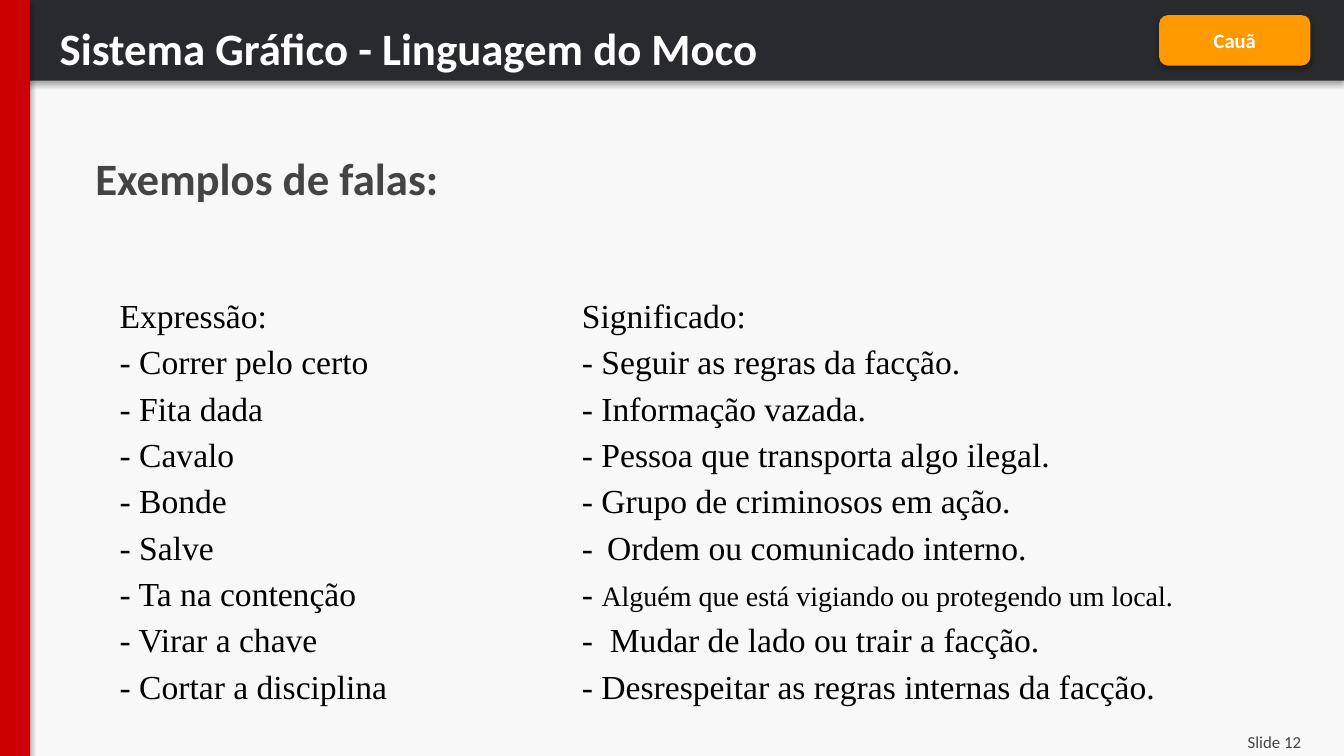
from dataclasses import dataclass

from lxml import etree
from pptx import Presentation
from pptx import util as u
from pptx.dml.color import RGBColor
from pptx.enum import shapes, text
from pptx.oxml import ns

COLORS = {"page": "F8F8F8", "bar": "292A2D", "accent": "CC0000", "tag": "FF9900",
          "light": "FFFFFF", "muted": "444444", "body": "000000"}
WIDTH, HEIGHT = 720, 405
TIGHT = (5, 3, 5, 3)
ROOMY = (7.2, 7.2, 7.2, 7.2)


@dataclass(frozen=True)
class Area:
    left: float
    top: float
    width: float
    height: float

    def lengths(self) -> list:
        return [u.Pt(n) for n in (self.left, self.top, self.width, self.height)]


@dataclass(frozen=True)
class Style:
    name: str
    size: float
    color: str
    bold: bool = False
    align: text.PP_ALIGN = text.PP_ALIGN.LEFT


@dataclass(frozen=True)
class Span:
    words: str
    size: float


def rgb(key: str) -> RGBColor:
    return RGBColor.from_string(COLORS[key])


def add_span(para, words: str, style: Style, size: float) -> None:
    span = para.add_run()
    span.text = words
    font_format = {"name": style.name, "size": u.Pt(size), "bold": style.bold}
    for key, value in font_format.items():
        setattr(span.font, key, value)
    span.font.color.rgb = rgb(style.color)


def write(shape, lines: list, style: Style, insets: tuple,
          anchor=text.MSO_ANCHOR.TOP, spacing=None) -> None:
    """Write lines as one paragraph; a line is a string or a list of spans."""
    frame = shape.text_frame
    frame_format = {"word_wrap": True, "vertical_anchor": anchor}
    sides = ("margin_left", "margin_top", "margin_right", "margin_bottom")
    frame_format.update(zip(sides, map(u.Pt, insets)))
    for key, value in frame_format.items():
        setattr(frame, key, value)
    para = frame.paragraphs[0]
    para.alignment = style.align
    para.line_spacing = spacing
    for index, line in enumerate(lines):
        if index:
            para.add_line_break()
        spans = [Span(line, style.size)] if isinstance(line, str) else line
        for span in spans:
            add_span(para, span.words, style, span.size)


def add_text(page, area: Area, lines: list, style: Style, insets: tuple, spacing=None) -> None:
    box = page.shapes.add_textbox(*area.lengths())
    write(box, lines, style, insets, spacing=spacing)


def add_panel(page, kind, area: Area, color: str):
    """Add a filled shape without outline, with a soft shadow below it."""
    panel = page.shapes.add_shape(kind, *area.lengths())
    panel.fill.solid()
    panel.fill.fore_color.rgb = rgb(color)
    panel.line.fill.background()
    panel.shadow.inherit = False
    effects = panel._element.spPr.find(ns.qn("a:effectLst"))
    shadow = etree.SubElement(effects, ns.qn("a:outerShdw"), blurRad=str(u.Pt(3.1)),
                              dist=str(u.Pt(1.8)), dir="5400000", rotWithShape="0")
    tint = etree.SubElement(shadow, ns.qn("a:srgbClr"), val="000000")
    etree.SubElement(tint, ns.qn("a:alpha"), val="35000")
    return panel


HEADING = Style("Calibri", 24, "light", bold=True)
SUBHEADING = Style("Calibri", 24, "muted", bold=True)
TAG = Style("Calibri", 11, "light", bold=True, align=text.PP_ALIGN.CENTER)
FOOTER = Style("Calibri", 9, "muted", align=text.PP_ALIGN.RIGHT)
BODY = Style("Times New Roman", 18, "body")

EXPRESSIONS = ["Expressão:", "- Correr pelo certo", "- Fita dada", "- Cavalo", "- Bonde",
               "- Salve", "- Ta na contenção", "- Virar a chave", "- Cortar a disciplina"]
MEANINGS = [
    "Significado:",
    "- Seguir as regras da facção.",
    "- Informação vazada.",
    "- Pessoa que transporta algo ilegal.",
    "- Grupo de criminosos em ação.",
    [Span("- ", 18), Span(" ", 12), Span("Ordem ou comunicado interno.", 18)],
    [Span("- ", 18), Span("Alguém que está vigiando ou protegendo um local.", 15)],
    "-  Mudar de lado ou trair a facção.",
    "- Desrespeitar as regras internas da facção.",
]


def main() -> None:
    deck = Presentation()
    deck.slide_width, deck.slide_height = u.Pt(WIDTH), u.Pt(HEIGHT)
    page = deck.slides.add_slide(deck.slide_layouts[6])
    page.background.fill.solid()
    page.background.fill.fore_color.rgb = rgb("page")

    # Header bar and side stripe
    rectangle = shapes.MSO_SHAPE.RECTANGLE
    add_panel(page, rectangle, Area(0, 0, WIDTH, 43.2), "bar")
    add_panel(page, rectangle, Area(0, 0, 16.2, HEIGHT), "accent")

    # Title and slide number
    add_text(page, Area(27, 8.1, 648, 63), ["Sistema Gráfico - Linguagem do Moco"],
             HEADING, TIGHT)
    add_text(page, Area(648, 388.8, 54, 16.2), ["Slide 12"], FOOTER, TIGHT)

    # Presenter tag
    tag = add_panel(page, shapes.MSO_SHAPE.ROUNDED_RECTANGLE,
                    Area(621, 8.1, 81, 27), "tag")
    tag.adjustments[0] = 0.17
    write(tag, ["Cauã"], TAG, TIGHT, anchor=text.MSO_ANCHOR.MIDDLE)

    # Subheading and the two columns
    add_text(page, Area(44, 73.5, 445, 44), ["Exemplos de falas:"], SUBHEADING, ROOMY)
    for left, width, lines in ((57, 220, EXPRESSIONS), (304.7, 351.5, MEANINGS)):
        add_text(page, Area(left, 147.6, width, 241), lines, BODY, ROOMY, spacing=1.15)

    deck.save("out.pptx")


if __name__ == "__main__":
    main()
